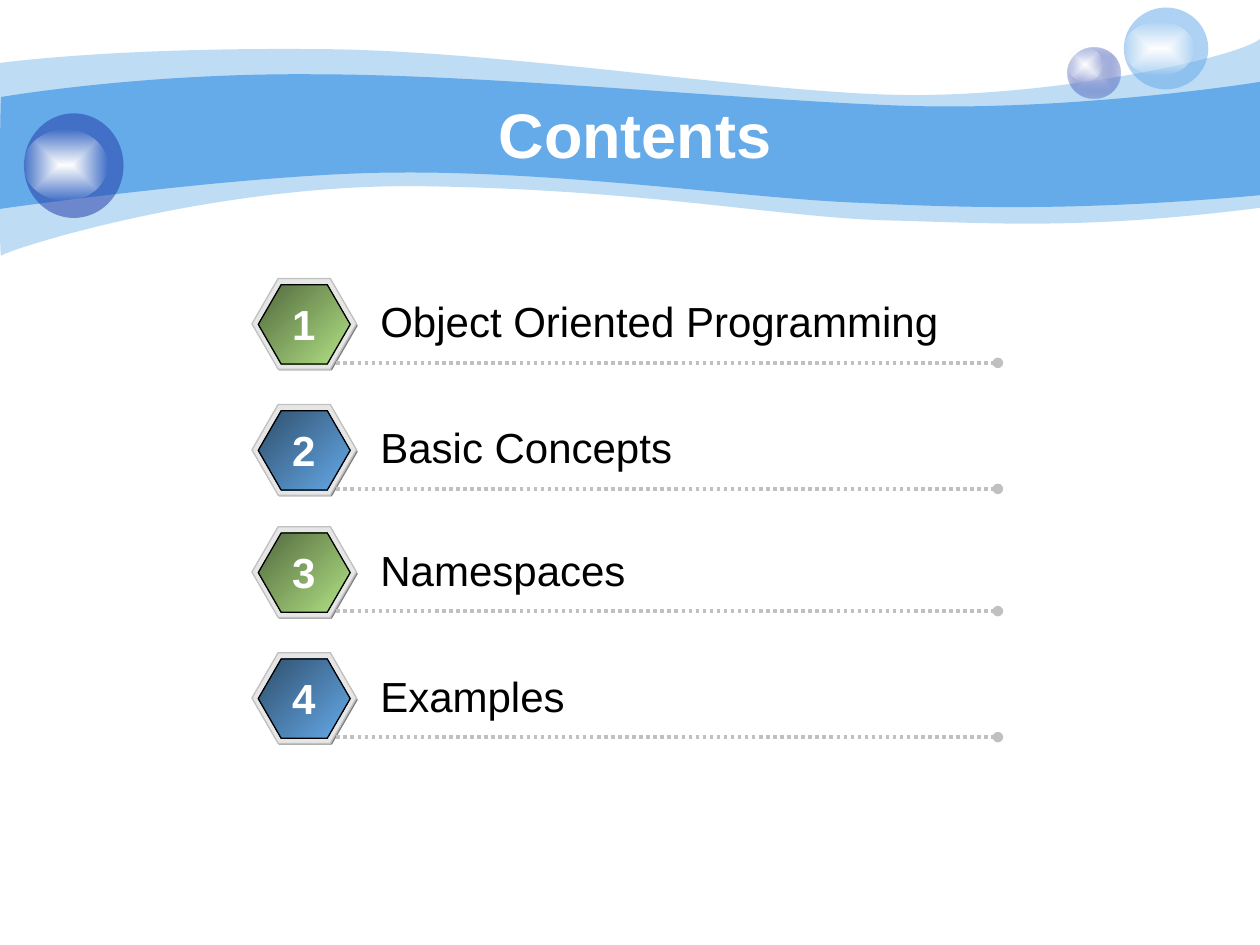
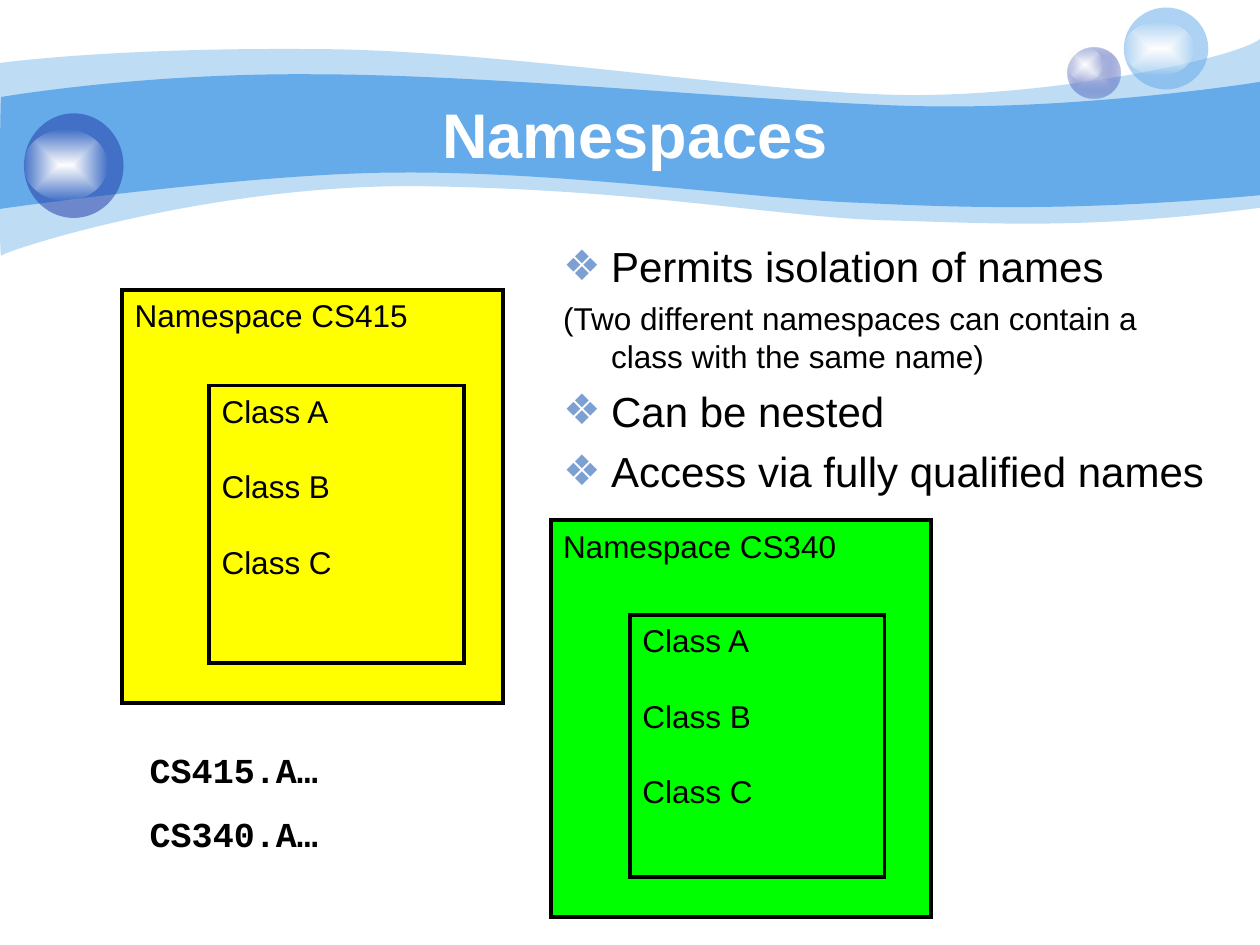
"""Build a contents slide and a namespaces slide in a shared wave-band style."""
from dataclasses import dataclass

from pptx import Presentation
from pptx.dml.color import RGBColor
from pptx.enum.dml import MSO_LINE
from pptx.enum.shapes import MSO_CONNECTOR, MSO_SHAPE
from pptx.enum.text import MSO_ANCHOR, MSO_AUTO_SIZE, PP_ALIGN
from pptx.oxml import parse_xml
from pptx.oxml.ns import nsdecls, qn
from pptx.util import Inches, Pt

WHITE = RGBColor(0xFF, 0xFF, 0xFF)
BLACK = RGBColor(0, 0, 0)
SKY = RGBColor(0x65, 0xAA, 0xE9)
NAVY = RGBColor(0x23, 0x3D, 0xA9)
LAVENDER = RGBColor(0xC7, 0xCE, 0xE9)
SILVER = RGBColor(0xC0, 0xC0, 0xC0)
PALE_GRAY = RGBColor(0xE6, 0xE6, 0xE6)
GRAY = RGBColor(0x80, 0x80, 0x80)
DARK_GREEN = RGBColor(0x52, 0x69, 0x3E)
LIGHT_GREEN = RGBColor(0xB2, 0xE3, 0x85)
DARK_BLUE = RGBColor(0x2F, 0x4F, 0x6C)
YELLOW = RGBColor(0xFF, 0xFF, 0)
LIME = RGBColor(0, 0xFF, 0)
BULLET = RGBColor(0x7D, 0xA0, 0xD3)
SANS = "Arial"
MONO = "Courier New"
LINEAR = '<a:lin ang="2700000" scaled="1"/>'
CENTERED = '<a:path path="rect"><a:fillToRect l="50000" t="50000" r="50000" b="50000"/></a:path>'


@dataclass(frozen=True)
class Band:
    """A wave: each edge is a start and then three points for every cubic curve."""
    upper: tuple
    lower: tuple
    opacity: int


@dataclass(frozen=True)
class Sphere:
    """A ball and the glossy highlight on it."""
    ball: tuple
    shine: tuple
    color: RGBColor
    opacity: int
    center: RGBColor | None = None


@dataclass(frozen=True)
class Topic:
    """A numbered line of the contents."""
    label: str
    top: float
    shades: tuple


@dataclass(frozen=True)
class Namespace:
    """A namespace box with the box of its classes."""
    name: str
    outer: tuple
    inner: tuple
    color: RGBColor


@dataclass(frozen=True)
class Point:
    """A line of the body text."""
    text: str
    size: int = 24
    before: float = 6
    bulleted: bool = True


BANDS = (
    Band(((0, 0.5), (0.24, 0.47), (1.07, 0.38), (2.47, 0.39),
          (3.86, 0.39), (5.75, 0.7), (6.99, 0.75),
          (8.22, 0.8), (9.8, 0.47), (10, 0.31)),
         ((10, 1.65), (8.58, 1.83), (7.87, 1.77), (7.05, 1.75),
          (6.22, 1.73), (5.15, 1.51), (3.43, 1.48),
          (1.72, 1.44), (0.04, 1.99), (0.01, 2.03),
          (-0.01, 2.08), (0, 0.75), (0, 0.5)), 41),
    Band(((0.01, 0.77), (0.02, 0.77), (1.1, 0.58), (2.48, 0.59),
          (3.86, 0.59), (5.95, 0.8), (7.18, 0.84),
          (8.41, 0.88), (9.76, 0.69), (10, 0.65)),
         ((10, 1.55), (8.53, 1.68), (7.65, 1.65), (6.82, 1.61),
          (5.99, 1.58), (4.47, 1.36), (3.17, 1.37),
          (2.03, 1.37), (-0.02, 1.66), (-0.01, 1.66),
          (0, 1.66), (0, 0.77), (0.01, 0.77)), 100),
)
SPHERES = (
    Sphere((8.47, 0.38, 0.42, 0.4), (8.47, 0.38, 0.28, 0.27), NAVY, 31, LAVENDER),
    Sphere((8.92, 0.06, 0.67, 0.65), (8.92, 0.17, 0.56, 0.43), SKY, 53),
    Sphere((0.19, 0.9, 0.79, 0.83), (0.19, 1.03, 0.66, 0.56), NAVY, 53),
)
GREENS = (DARK_GREEN, LIGHT_GREEN)
BLUES = (DARK_BLUE, SKY)
TOPICS = (
    Topic("Object Oriented Programming", 2.21, GREENS),
    Topic("Basic Concepts", 3.21, BLUES),
    Topic("Namespaces", 4.18, GREENS),
    Topic("Examples", 5.18, BLUES),
)
NAMESPACES = (
    Namespace("Namespace CS415", (0.97, 2.3, 3.02, 3.28), (1.66, 3.06, 2.02, 2.2), YELLOW),
    Namespace("Namespace CS340", (4.37, 4.13, 3.02, 3.15), (5, 4.88, 2.02, 2.08), LIME),
)
CLASSES = ("Class A", "Class B", "Class C")
POINTS = (
    Point("Permits isolation of names"),
    Point("(Two different namespaces can contain a class with the same name)", 18, 4.5, False),
    Point("Can be nested"),
    Point("Access via fully qualified names"),
)


def inches(values: tuple) -> list:
    """Turn plain numbers into lengths."""
    return [Inches(value) for value in values]


def set_gradient(shape, stops: tuple, direction: str) -> None:
    """Fill a shape with (color, opacity) stops spread evenly."""
    last = len(stops) - 1
    marks = "".join(
        f'<a:gs pos="{100000 * i // last}"><a:srgbClr val="{color}">'
        f'<a:alpha val="{opacity * 1000}"/></a:srgbClr></a:gs>'
        for i, (color, opacity) in enumerate(stops))
    shape.fill.background()
    blank = shape.element.spPr.find(qn("a:noFill"))
    blank.getparent().replace(blank, parse_xml(
        f'<a:gradFill {nsdecls("a")} rotWithShape="1"><a:gsLst>{marks}</a:gsLst>'
        f'{direction}</a:gradFill>'))


def paint(shape, color: RGBColor, opacity: int = 100) -> None:
    """Fill a shape with one color, see-through if asked."""
    shape.fill.solid()
    shape.fill.fore_color.rgb = color
    if opacity < 100:
        tint = shape.element.spPr.find(".//" + qn("a:srgbClr"))
        tint.append(parse_xml(f'<a:alpha {nsdecls("a")} val="{opacity * 1000}"/>'))


def outline(shape, color: RGBColor | None, width: float = 0.75) -> None:
    """Give a shape a sharp-cornered edge, or none, and no shadow."""
    shape.shadow.inherit = False
    if color is None:
        shape.line.fill.background()
        return
    shape.line.color.rgb = color
    shape.line.width = Pt(width)
    edge = shape.element.spPr.find(qn("a:ln"))
    edge.append(parse_xml(f'<a:miter {nsdecls("a")} lim="800000"/>'))


def format_text(paragraph, size: float, color: RGBColor = BLACK, bold: bool = False,
                font: str = SANS) -> None:
    """Format all runs of a paragraph."""
    for run in paragraph.runs:
        run.font.name = font
        run.font.size = Pt(size)
        run.font.bold = bold
        run.font.color.rgb = color


def write_lines(frame, lines: tuple, size: float, gap: float = 0, **style) -> None:
    """Write left-aligned lines from the top, with a gap between them."""
    frame.text = "\n".join(lines)
    frame.word_wrap = True
    frame.vertical_anchor = MSO_ANCHOR.TOP
    for i, paragraph in enumerate(frame.paragraphs):
        paragraph.alignment = PP_ALIGN.LEFT
        if i:
            paragraph.space_before = Pt(gap)
        format_text(paragraph, size, **style)


def draw_band(shapes, band: Band):
    """Draw a wave and bend its edges into cubic curves."""
    start, *rest = [inches(point) for point in band.upper + band.lower]
    builder = shapes.build_freeform(*start)
    builder.add_line_segments(rest, close=True)
    wave = builder.convert_to_shape()
    steps = list(wave.element.spPr.find(".//" + qn("a:path")))
    first_lower = len(band.upper)
    for begin, edge in ((1, band.upper), (first_lower + 1, band.lower)):
        for i in range(begin, begin + len(edge) - 1, 3):
            curve = parse_xml(f'<a:cubicBezTo {nsdecls("a")}/>')
            steps[i].addprevious(curve)
            for step in steps[i:i + 3]:
                curve.append(step[0])
                step.getparent().remove(step)
    paint(wave, SKY, band.opacity)
    outline(wave, None)
    return wave


def draw_sphere(shapes, sphere: Sphere) -> tuple:
    """Draw a ball and its highlight."""
    ball, shine = (shapes.add_shape(MSO_SHAPE.OVAL, *inches(place))
                   for place in (sphere.ball, sphere.shine))
    if sphere.center is None:
        paint(ball, sphere.color, sphere.opacity)
    else:
        set_gradient(ball, ((sphere.center, 100), (sphere.color, sphere.opacity)), CENTERED)
    set_gradient(shine, ((WHITE, 100), (WHITE, 0)), CENTERED)
    for part in (ball, shine):
        outline(part, None)
    return ball, shine


def decorate_master(master, shapes) -> None:
    """Draw the waves and spheres and move them behind the master's text."""
    parts = [draw_band(shapes, band) for band in BANDS]
    for sphere in SPHERES:
        parts.extend(draw_sphere(shapes, sphere))
    for i, part in enumerate(parts):
        part.element.nvSpPr.cNvPr.set("id", str(100 + i))
        master.shapes.element.insert(2 + i, part.element)


def set_title(slide, text: str) -> None:
    """Place and format the slide's title."""
    title = slide.shapes.title
    title.left, title.top, title.width, title.height = inches((1, 0.75, 8.08, 0.62))
    title.text_frame.text = text
    title.text_frame.auto_size = MSO_AUTO_SIZE.NONE
    title.text_frame.vertical_anchor = MSO_ANCHOR.MIDDLE
    title.text_frame.paragraphs[0].alignment = PP_ALIGN.CENTER
    format_text(title.text_frame.paragraphs[0], 36, WHITE, True)


def draw_hexagon(shapes, place: tuple, edge: RGBColor | None):
    """Draw one layer of a number badge."""
    hexagon = shapes.add_shape(MSO_SHAPE.HEXAGON, *inches(place))
    hexagon.adjustments[0] = 0.289
    hexagon.adjustments[1] = 1.155
    outline(hexagon, edge)
    return hexagon


def draw_topic(shapes, number: int, topic: Topic) -> None:
    """Draw a badge, its dotted rule, label and number."""
    top = topic.top
    paint(draw_hexagon(shapes, (2.01, top + 0.02, 0.83, 0.71), None), GRAY)
    paint(draw_hexagon(shapes, (2, top, 0.83, 0.72), SILVER), PALE_GRAY)
    face = draw_hexagon(shapes, (2.05, top + 0.05, 0.73, 0.63), BLACK)
    set_gradient(face, tuple((shade, 100) for shade in topic.shades), LINEAR)

    rule = shapes.add_connector(
        MSO_CONNECTOR.STRAIGHT, *inches((2.67, top + 0.67, 7.92, top + 0.67)))
    rule.line.color.rgb = SILVER
    rule.line.width = Pt(2)
    rule.line.dash_style = MSO_LINE.ROUND_DOT
    rule.element.spPr.find(qn("a:ln")).append(
        parse_xml(f'<a:tailEnd {nsdecls("a")} type="oval"/>'))
    rule.element.spPr.append(parse_xml(f'<a:effectLst {nsdecls("a")}/>'))

    label = shapes.add_textbox(*inches((2.92, top + 0.09, 4.92, 0.5)))
    write_lines(label.text_frame, (topic.label,), 24)
    numeral = shapes.add_textbox(*inches((2.22, top + 0.11, 0.38, 0.5))).text_frame
    write_lines(numeral, (str(number),), 24, color=WHITE, bold=True)
    numeral.word_wrap = False
    numeral.paragraphs[0].alignment = PP_ALIGN.CENTER


def draw_namespace(shapes, namespace: Namespace) -> None:
    """Draw a namespace box around its class box."""
    for place, lines in ((namespace.outer, (namespace.name,)), (namespace.inner, CLASSES)):
        box = shapes.add_shape(MSO_SHAPE.RECTANGLE, *inches(place))
        paint(box, namespace.color)
        outline(box, BLACK, 2.25)
        write_lines(box.text_frame, lines, 18, gap=21.6)


def fill_body(body) -> None:
    """Write the points into the body placeholder."""
    body.left, body.top, body.width, body.height = inches((4.37, 1.86, 5.38, 4.67))
    frame = body.text_frame
    frame.text = "\n".join(point.text for point in POINTS)
    frame.auto_size = MSO_AUTO_SIZE.NONE
    for i, (paragraph, point) in enumerate(zip(frame.paragraphs, POINTS)):
        paragraph.space_before = Pt(point.before if i else 0)
        layout = paragraph._p.get_or_add_pPr()
        layout.set("marL", str(Inches(0.38)))
        layout.set("indent", str(-Inches(0.38)))
        marks = (f'<a:buClr {nsdecls("a")}><a:srgbClr val="{BULLET}"/></a:buClr>',
                 f'<a:buFont {nsdecls("a")} typeface="{SANS}"/>',
                 f'<a:buChar {nsdecls("a")} char="❖"/>')
        for mark in marks if point.bulleted else (f'<a:buNone {nsdecls("a")}/>',):
            layout.append(parse_xml(mark))
        format_text(paragraph, point.size)


def main() -> None:
    """Build and save both slides."""
    deck = Presentation()
    deck.slide_width, deck.slide_height = inches((10, 7.5))

    contents = deck.slides.add_slide(deck.slide_layouts[5])
    decorate_master(deck.slide_master, contents.shapes)
    set_title(contents, "Contents")
    for number, topic in enumerate(TOPICS, 1):
        draw_topic(contents.shapes, number, topic)

    namespaces = deck.slides.add_slide(deck.slide_layouts[1])
    set_title(namespaces, "Namespaces")
    fill_body(namespaces.placeholders[1])
    for namespace in NAMESPACES:
        draw_namespace(namespaces.shapes, namespace)
    usage = namespaces.shapes.add_textbox(*inches((1.09, 5.89, 2.46, 0.94)))
    write_lines(usage.text_frame, ("CS415.A…", "CS340.A…"), 20, gap=12.5, bold=True, font=MONO)

    deck.save("out.pptx")


if __name__ == "__main__":
    main()
